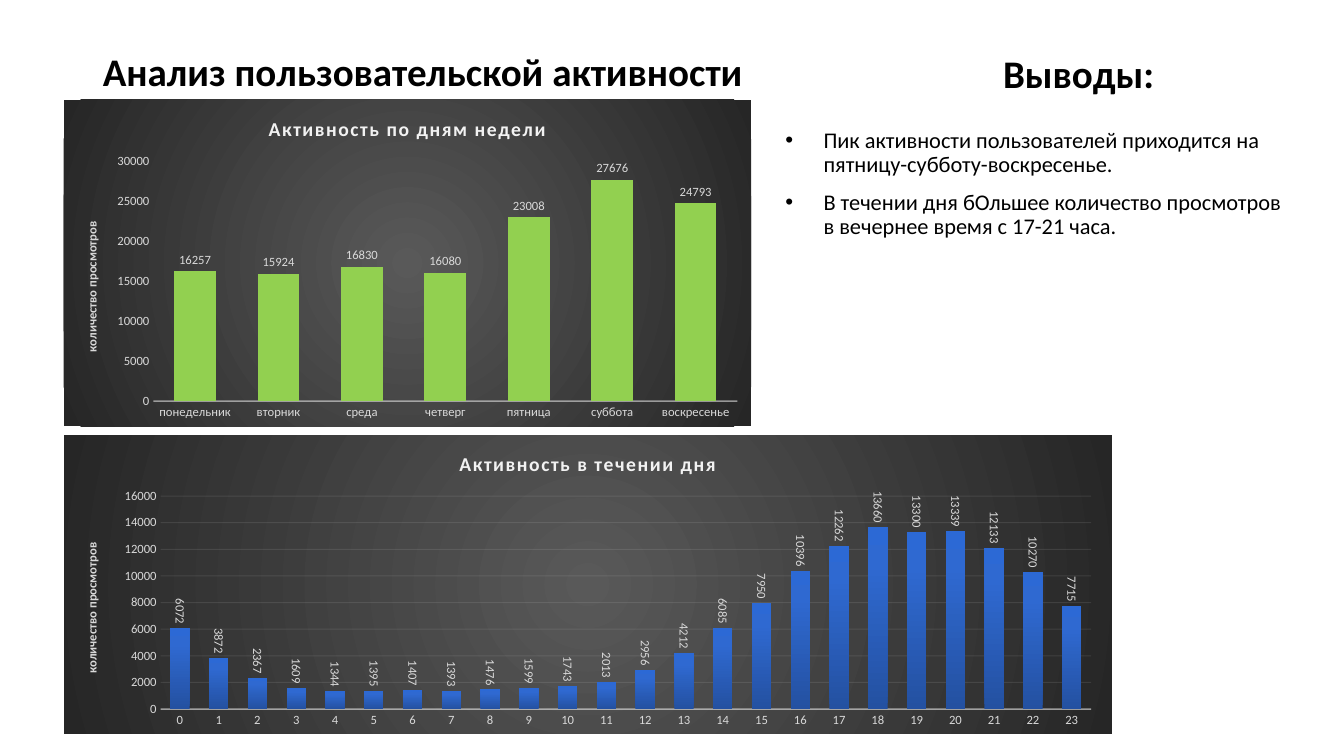
from lxml.etree import SubElement
from pptx import Presentation
from pptx.chart.data import CategoryChartData
from pptx.dml.color import RGBColor
from pptx.enum.chart import XL_CHART_TYPE, XL_LABEL_POSITION, XL_TICK_MARK
from pptx.enum.text import MSO_ANCHOR
from pptx.oxml import parse_xml
from pptx.oxml.ns import nsdecls, qn
from pptx.util import Inches, Pt

FONT = "Calibri"
LIGHT, PALE = "D9D9D9", "F2F2F2"
RADIAL = ('<a:path path="circle"><a:fillToRect l="50000" t="50000" '
          'r="50000" b="50000"/></a:path>')
UPWARD = '<a:lin ang="16200000" scaled="0"/>'


def write(p, text, size, color="000000", bold=False, spacing=None):
    r = p.add_run()
    r.text = text
    f = r.font
    f.name, f.size, f.bold = FONT, Pt(size), bold
    f.color.rgb = RGBColor.from_string(color)
    if spacing:
        r._r.get_or_add_rPr().set("spc", str(spacing))


def gradient(stops, direction):
    gs = "".join(f'<a:gs pos="{pos * 1000}"><a:srgbClr val="{color}"/></a:gs>'
                 for pos, color in stops)
    return f'<a:gradFill rotWithShape="1"><a:gsLst>{gs}</a:gsLst>{direction}</a:gradFill>'


prs = Presentation()
prs.slide_width, prs.slide_height = Inches(13.33), Inches(7.5)
s = prs.slides.add_slide(prs.slide_layouts[5])

# Headings
title = s.shapes.title
title.left, title.top = Inches(0.92), Inches(0.52)
title.width, title.height = Inches(8.04), Inches(0.47)
findings = s.shapes.add_textbox(Inches(9.85), Inches(0.52), Inches(3.08), Inches(0.47))
for sp, text, line_spacing in [
        (title, "Анализ пользовательской активности", 0.9),
        (findings, "Выводы:", 0.7)]:
    tf = sp.text_frame
    tf.word_wrap = True
    tf.vertical_anchor = MSO_ANCHOR.BOTTOM
    p = tf.paragraphs[0]
    p.line_spacing = line_spacing
    p._p.get_or_add_pPr().set("algn", "l")
    write(p, text, 27.9, bold=True)

# Findings list
tf = s.shapes.add_textbox(Inches(7.69), Inches(1.23), Inches(5.17), Inches(1.49)).text_frame
tf.word_wrap = True
for i, text in enumerate([
        "Пик активности пользователей приходится на пятницу-субботу-воскресенье.",
        "В течении дня бОльшее количество просмотров в вечернее время с 17-21 часа."]):
    p = tf.add_paragraph() if i else tf.paragraphs[0]
    p.line_spacing, p.space_before = 0.9, Pt(10)
    pPr = p._p.get_or_add_pPr()
    pPr.set("marL", str(Inches(0.38)))
    pPr.set("indent", str(-Inches(0.38)))
    SubElement(pPr, qn("a:buFont"), typeface="Arial")
    SubElement(pPr, qn("a:buChar"), char="•")
    write(p, text, 16)

# Charts: title, place, categories, values, axis maximum and step, bar fill, label rotation, grid
days = ["понедельник", "вторник", "среда", "четверг", "пятница", "суббота", "воскресенье"]
day_views = [16257, 15924, 16830, 16080, 23008, 27676, 24793]
hours = [str(h) for h in range(24)]
hour_views = [6072, 3872, 2367, 1609, 1344, 1395, 1407, 1393, 1476, 1599, 1743, 2013,
              2956, 4212, 6085, 7950, 10396, 12262, 13660, 13300, 13339, 12133, 10270, 7715]
green = '<a:solidFill><a:srgbClr val="92D050"/></a:solidFill>'
blue = gradient([(0, "2451A1"), (80, "2F69D1"), (100, "2C69D5")], UPWARD)
dark = gradient([(0, "595959"), (100, "262626")], RADIAL)

for name, (x, y, w, h), cats, views, top, step, bar_fill, turn, grid in [
        ("Активность по дням недели", (0.63, 0.99, 6.82, 3.24), days, day_views,
         30000, 5000, green, 0, False),
        ("Активность в течении дня", (0.63, 4.32, 10.4, 2.96), hours, hour_views,
         16000, 2000, blue, 90, True)]:
    data = CategoryChartData()
    data.categories = cats
    data.add_series("Просмотры", views)
    chart = s.shapes.add_chart(XL_CHART_TYPE.COLUMN_CLUSTERED, Inches(x), Inches(y),
                               Inches(w), Inches(h), data).chart
    chart.has_legend = False
    chart.font.name, chart.font.size = FONT, Pt(9)
    chart.font.color.rgb = RGBColor.from_string(LIGHT)
    write(chart.chart_title.text_frame.paragraphs[0], name, 14, PALE, True, 100)
    chart.element.find(qn("c:chart")).addnext(parse_xml(
        f'<c:spPr {nsdecls("c", "a")}>{dark}<a:ln><a:noFill/></a:ln></c:spPr>'))

    # Axes
    cat, val = chart.category_axis, chart.value_axis
    for axis in (cat, val):
        axis.major_tick_mark = axis.minor_tick_mark = XL_TICK_MARK.NONE
    val.minimum_scale, val.maximum_scale, val.major_unit = 0, top, step
    val.format.line.fill.background()
    write(val.axis_title.text_frame.paragraphs[0], "количество просмотров", 9, LIGHT, True)
    val.has_major_gridlines = grid
    lines = [(cat.format.line, 1, 54)]
    if grid:
        lines.append((val.major_gridlines.format.line, 0.75, 10))
    for line, width, opacity in lines:
        line.width = Pt(width)
        line.color.rgb = RGBColor.from_string(PALE)
        color = line.fill._xPr.find(".//" + qn("a:srgbClr"))
        SubElement(color, qn("a:alpha"), val=str(opacity * 1000))

    # Bars and their labels
    plot = chart.plots[0]
    plot.gap_width, plot.overlap, plot.vary_by_categories = 100, -24, False
    ser = plot.series[0]
    ser.invert_if_negative = False
    bar = ser._element.get_or_add_spPr()
    bar.extend(parse_xml(f'<c:spPr {nsdecls("c", "a")}>{bar_fill}</c:spPr>'))
    labels = ser.data_labels
    labels.show_value, labels.position = True, XL_LABEL_POSITION.OUTSIDE_END
    labels.font.name, labels.font.size = FONT, Pt(9)
    labels.font.color.rgb = RGBColor.from_string(LIGHT)
    body = labels._element.find(".//" + qn("a:bodyPr"))
    body.set("rot", str(turn * 60000))
    body.set("vert", "horz")

prs.save("out.pptx")
